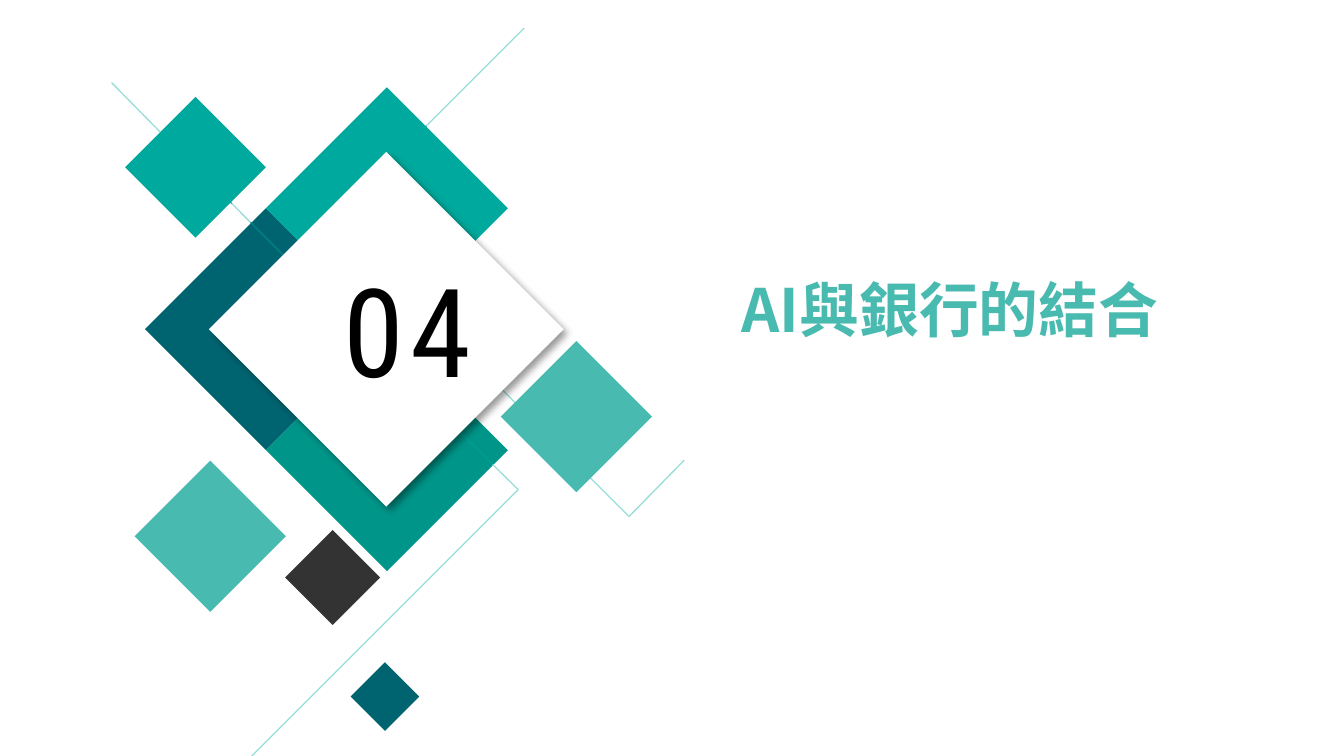
"""Build the section divider slide for part 04."""
from itertools import pairwise

from lxml import etree
from pptx import Presentation
from pptx.dml.color import RGBColor
from pptx.enum.shapes import MSO_CONNECTOR, MSO_SHAPE
from pptx.enum.text import MSO_AUTO_SIZE
from pptx.oxml.ns import qn
from pptx.util import Pt

STRAIGHT = MSO_CONNECTOR.STRAIGHT
DIAMOND = MSO_SHAPE.DIAMOND
GROW = MSO_AUTO_SIZE.SHAPE_TO_FIT_TEXT

THEME = {
    "deep": "006470", "teal": "00A99D", "green": "009589", "mint": "49BAAF",
    "charcoal": "333333", "white": "FFFFFF", "black": "000000",
    "pale": "99DDD8", "line_deep": "008082", "line_green": "009D91",
    "line_width": 0.7, "number_size": 66, "title_size": 32, "spacing": 3,
    "number_font": "Roboto Condensed", "title_font": "Noto Sans CJK SC",
}

FRAME = [
    (142.5, 176.4, 129.6, "deep"),
    (207.3, 111.6, 129.6, "teal"),
    (104.8, 89.6, 75.4, "teal"),
    (207.3, 241.2, 129.6, "green"),
    (178.2, 309.4, 50.9, "charcoal"),
]
TRACES = [
    ("pale", [(221.8, 161.6), (337, 276.7), (366.5, 246.6)]),
    ("pale", [(280.8, 15.1), (228.4, 67.5)]),
    ("teal", [(228.4, 67.5), (178, 117.9), (221.8, 161.6)]),
    ("pale", [(263.9, 248.8), (277.6, 262.3), (119.5, 420.4)]),
    ("pale", [(59.8, 44.3), (86, 70.9)]),
    ("teal", [(86, 70.9), (124.2, 109.1)]),
    ("pale", [(124.2, 109.1), (134.3, 119.2)]),
    ("line_deep", [(134.3, 119.2), (199.1, 184)]),
    ("line_green", [(199.1, 184), (263.9, 248.8)]),
]
CENTRE = (206.9, 176.4, 190, "white")
ACCENTS = [
    (308.8, 223.2, 81, "mint"),
    (112.7, 287.3, 81, "mint"),
    (206.2, 373.2, 36.7, "deep"),
]
NUMBER = ("04", (177.1, 132.5, 85, 87.1))
TITLE = ("AI與銀行的結合", (390.2, 142.6, 365.8, 46.1))


def color(name):
    return RGBColor.from_string(THEME[name])


def add_diamond(s, cx, cy, size, fill):
    sp = s.shapes.add_shape(DIAMOND, Pt(cx - size / 2), Pt(cy - size / 2), Pt(size), Pt(size))
    sp.shadow.inherit = False
    sp.fill.solid()
    sp.fill.fore_color.rgb = color(fill)
    sp.line.fill.background()
    return sp


def add_shadow(sp, blur, dist, angle, alpha):
    effects = sp._element.spPr.find(qn("a:effectLst"))
    shadow = etree.SubElement(
        effects, qn("a:outerShdw"), blurRad=str(Pt(blur)), dist=str(Pt(dist)),
        dir=str(angle * 60000), algn="tl", rotWithShape="0")
    clr = etree.SubElement(shadow, qn("a:srgbClr"), val=THEME["black"])
    etree.SubElement(clr, qn("a:alpha"), val=str(alpha * 1000))


def add_trace(s, name, points):
    for start, end in pairwise(points):
        cxn = s.shapes.add_connector(STRAIGHT, *map(Pt, start + end))
        cxn.line.color.rgb = color(name)
        cxn.line.width = Pt(THEME["line_width"])
        etree.SubElement(cxn._element.spPr, qn("a:effectLst"))


def add_text(s, text, box, role, name, wrap):
    tf = s.shapes.add_textbox(*map(Pt, box)).text_frame
    tf.word_wrap = wrap
    tf.auto_size = GROW
    r = tf.paragraphs[0].add_run()
    r.text = text
    r.font.size = Pt(THEME[role + "_size"])
    r.font.color.rgb = color(name)
    r.font.name = THEME[role + "_font"]
    etree.SubElement(r._r.get_or_add_rPr(), qn("a:ea"), typeface=THEME[role + "_font"])
    return r


def main():
    prs = Presentation()
    prs.slide_width, prs.slide_height = Pt(720), Pt(405)
    s = prs.slides.add_slide(prs.slide_layouts[6])
    for diamond in FRAME:
        add_diamond(s, *diamond)
    for trace in TRACES:
        add_trace(s, *trace)
    add_shadow(add_diamond(s, *CENTRE), blur=4, dist=3, angle=45, alpha=40)
    for diamond in ACCENTS:
        add_diamond(s, *diamond)
    r = add_text(s, *NUMBER, "number", "black", False)
    r._r.get_or_add_rPr().set("spc", str(THEME["spacing"] * 100))
    r = add_text(s, *TITLE, "title", "mint", True)
    r.font.bold = True
    prs.save("out.pptx")


if __name__ == "__main__":
    main()
